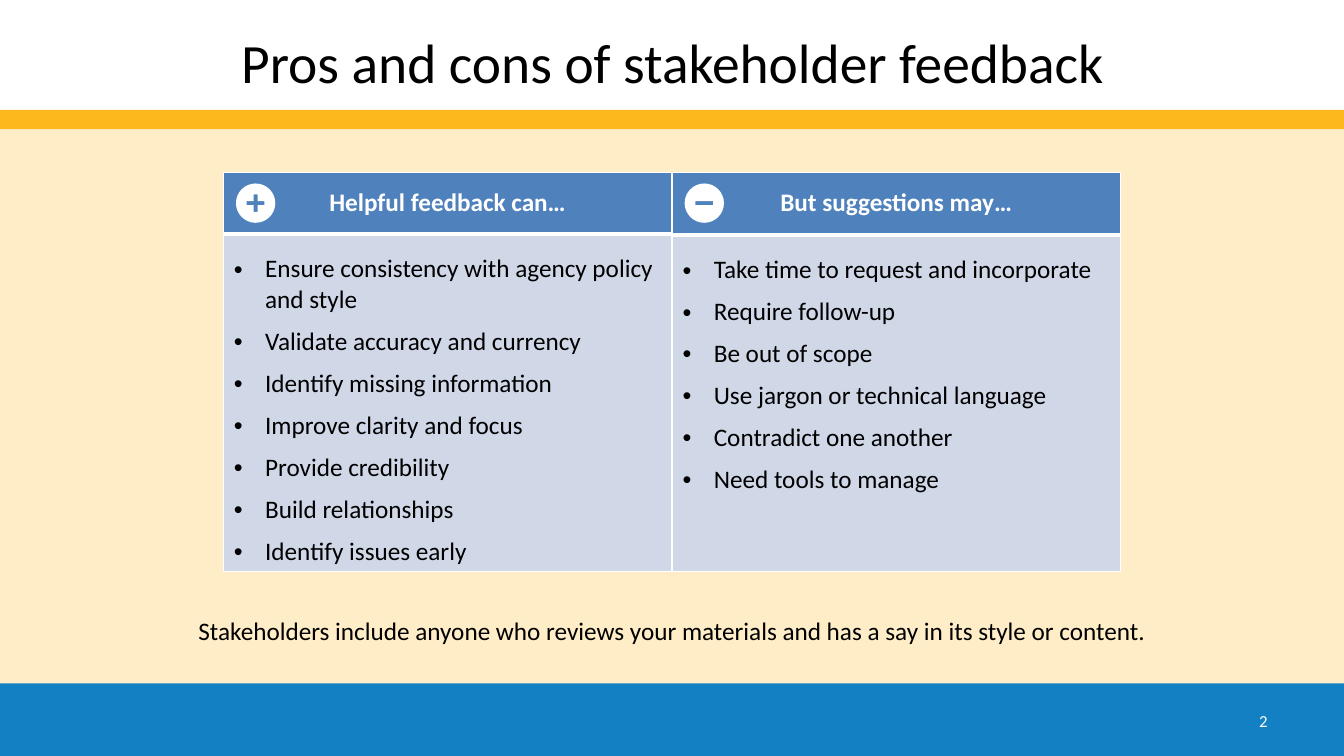
from lxml import etree
from pptx import Presentation
from pptx.dml.color import RGBColor
from pptx.enum.shapes import MSO_SHAPE
from pptx.enum.text import MSO_ANCHOR, PP_ALIGN
from pptx.oxml.ns import qn
from pptx.util import Inches, Pt

RECT = MSO_SHAPE.RECTANGLE
MIDDLE, TOP = MSO_ANCHOR.MIDDLE, MSO_ANCHOR.TOP
CENTER, RIGHT = PP_ALIGN.CENTER, PP_ALIGN.RIGHT
WHITE, BLACK, GOLD = "FFFFFF", "000000", "FDB81E"


def paint(fill, color):
    fill.solid()
    fill.fore_color.rgb = RGBColor.from_string(color)


def write(para, text, size, color, bold=False):
    run = para.add_run()
    run.text = text
    run.font.name = "Calibri"
    run.font.size = Pt(size)
    run.font.bold = bold
    paint(run.font.fill, color)


prs = Presentation()
prs.slide_width = Inches(13.33)
prs.slide_height = Inches(7.5)
slide = prs.slides.add_slide(prs.slide_layouts[6])
shapes = slide.shapes
paint(slide.background.fill, "FEEDC7")

bands = [(0, 1.09, WHITE), (6.78, 0.72, "1280C3"), (1.09, 0.19, GOLD)]
for top, height, color in bands:
    band = shapes.add_shape(RECT, 0, Inches(top), prs.slide_width, Inches(height))
    band.shadow.inherit = False
    paint(band.fill, color)
    band.line.fill.background()

labels = [
    ("Pros and cons of stakeholder feedback",
     (0.67, 0.21, 12, 0.79), 39.6, BLACK, CENTER, MIDDLE, True),
    ("Stakeholders include anyone who reviews your materials and has a say in its style or content.",
     (1.81, 6.06, 9.71, 0.4), 18, BLACK, CENTER, TOP, False),
    ("2", (9.56, 6.95, 3.11, 0.4), 12, WHITE, RIGHT, MIDDLE, True),
]
for text, place, size, color, align, anchor, wrap in labels:
    box = shapes.add_textbox(*[Inches(v) for v in place])
    frame = box.text_frame
    frame.word_wrap = wrap
    frame.vertical_anchor = anchor
    para = frame.paragraphs[0]
    para.alignment = align
    write(para, text, size, color)

arm, half = Inches(0.09), Inches(0.02)
plus = [(arm, half), (half, half), (half, arm), (-half, arm),
        (-half, half), (-arm, half), (-arm, -half), (-half, -half),
        (-half, -arm), (half, -arm), (half, -half), (arm, -half)]
minus = [(arm, half), (-arm, half), (-arm, -half), (arm, -half)]
rad, bend = Inches(0.2), 0.55
ring = [(0, -rad), (-rad, 0), (0, rad), (rad, 0), (0, -rad)]

columns = [
    (2.22, 0.61, plus, "Helpful feedback can…", [
        "Ensure consistency with agency policy and style",
        "Validate accuracy and currency",
        "Identify missing information",
        "Improve clarity and focus",
        "Provide credibility",
        "Build relationships",
        "Identify issues early",
    ]),
    (6.67, 0.62, minus, "But suggestions may…", [
        "Take time to request and incorporate",
        "Require follow-up",
        "Be out of scope",
        "Use jargon or technical language",
        "Contradict one another",
        "Need tools to manage",
    ]),
]
for left, head, sign, title, points in columns:
    table = shapes.add_table(2, 1, Inches(left), Inches(1.71),
                             Inches(4.44), Inches(3.96)).table
    table.horz_banding = False
    table.rows[0].height = Inches(head)
    table.rows[1].height = Inches(3.96 - head)
    styles = [("4F81BD", (0.15, 0.15, 0.15, 0.15), (1, 1, 1, 3)),
              ("D0D8E8", (0.1, 0.2, 0.1, 0.05), (1, 1, 1, 1))]
    for row, (color, inset, widths) in enumerate(styles):
        cell = table.cell(row, 0)
        (cell.margin_left, cell.margin_top,
         cell.margin_right, cell.margin_bottom) = [Inches(v) for v in inset]
        props = cell._tc.get_or_add_tcPr()
        for side, width in zip("LRTB", widths):
            edge = etree.SubElement(props, qn("a:ln" + side), w=str(Pt(width)))
            solid = etree.SubElement(edge, qn("a:solidFill"))
            etree.SubElement(solid, qn("a:srgbClr"), val=WHITE)
        paint(cell.fill, color)

    para = table.cell(0, 0).text_frame.paragraphs[0]
    para.alignment = CENTER
    write(para, title, 18, WHITE, True)

    frame = table.cell(1, 0).text_frame
    for i, point in enumerate(points):
        para = frame.add_paragraph() if i else frame.paragraphs[0]
        props = para._p.get_or_add_pPr()
        props.set("marL", str(Inches(0.31)))
        props.set("indent", str(-Inches(0.31)))
        para.space_after = Pt(8)
        etree.SubElement(props, qn("a:buFont"), typeface="Arial")
        etree.SubElement(props, qn("a:buChar"), char="•")
        write(para, point, 18, BLACK)

    pen = shapes.build_freeform(*ring[0], scale=1.0)
    pen.add_line_segments(ring[1:], close=True)
    pen.move_to(*sign[0])
    pen.add_line_segments(sign[1:], close=True)
    icon = pen.convert_to_shape(Inches(left + 0.32), Inches(2.02))
    icon.shadow.inherit = False
    paint(icon.fill, WHITE)
    icon.line.fill.background()

    lines = list(icon._element.iter(qn("a:lnTo")))
    for line, (ax, ay), (bx, by) in zip(lines, ring, ring[1:]):
        curve = etree.Element(qn("a:cubicBezTo"))
        for x, y in [(ax + bend * bx, ay + bend * by),
                     (bx + bend * ax, by + bend * ay), (bx, by)]:
            etree.SubElement(curve, qn("a:pt"),
                             x=str(round(rad + x)), y=str(round(rad + y)))
        line.getparent().replace(line, curve)
    icon.width = icon.height = Inches(0.39)

prs.save("out.pptx")
